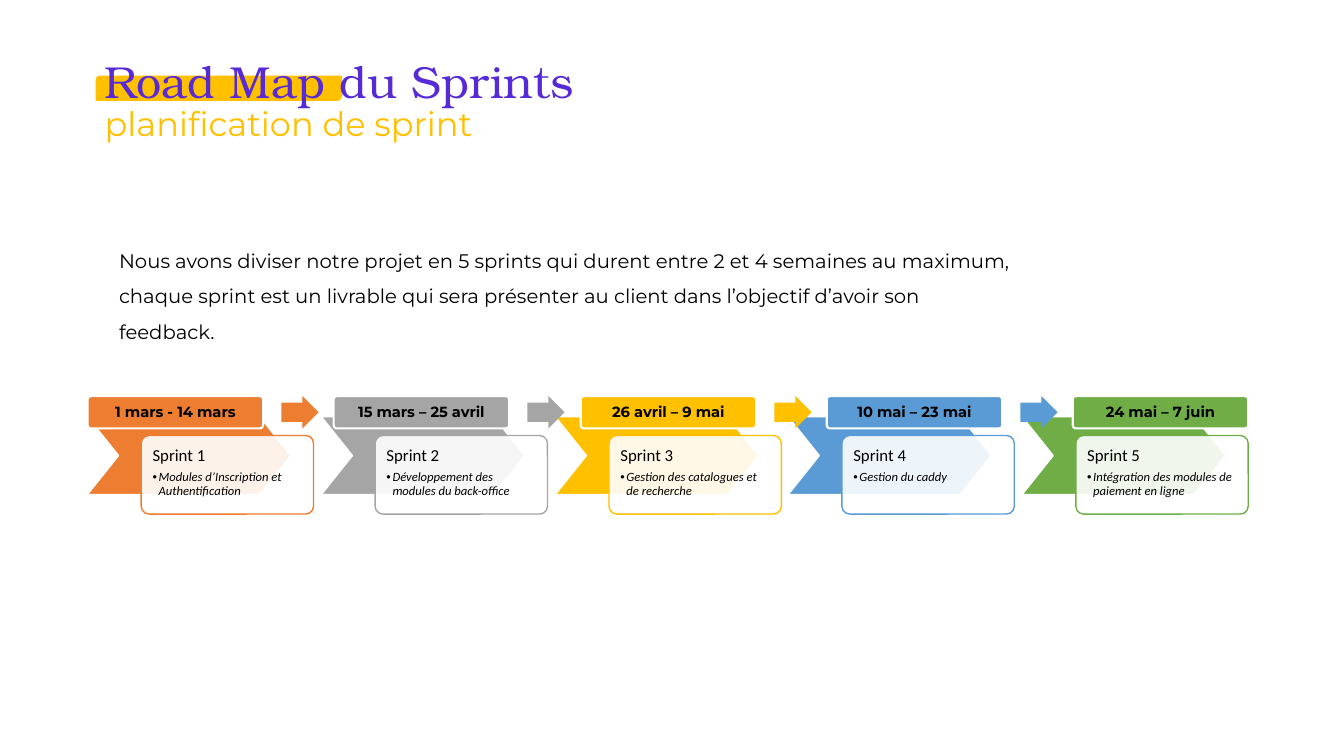
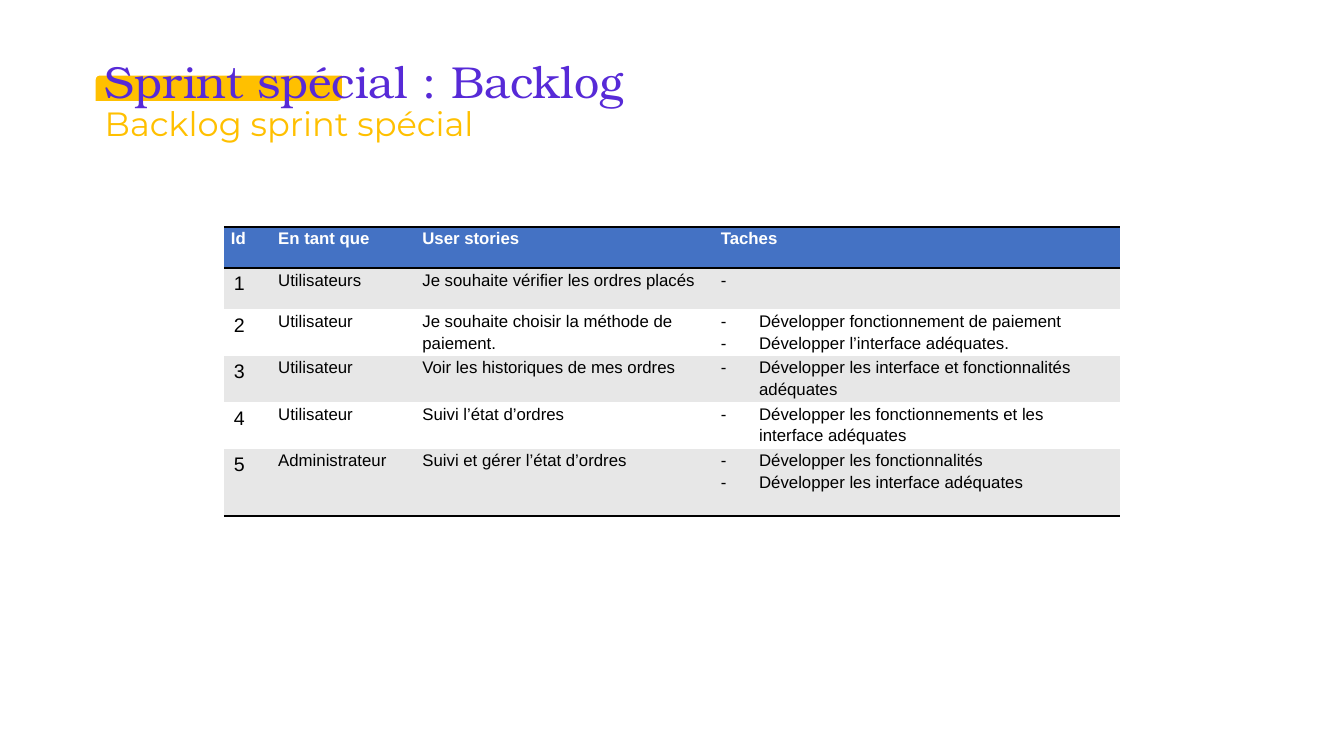
from dataclasses import dataclass

from lxml.etree import SubElement
from pptx import Presentation
from pptx.dml.color import RGBColor
from pptx.enum.shapes import MSO_SHAPE as Preset
from pptx.enum.text import MSO_ANCHOR as Anchor, PP_ALIGN as Align
from pptx.oxml.ns import qn
from pptx.util import Pt

PX = 9144
SLIDE_SIZE = (1333, 750)


@dataclass(frozen=True)
class TextStyle:
    font: str
    size: float
    color: str = "000000"
    bold: bool = False
    italic: bool = False
    spacing: float = 0.9


@dataclass(frozen=True)
class Theme:
    highlight: str = "FFC000"
    white: str = "FFFFFF"
    black: str = "000000"
    header: str = "4472C4"
    band: str = "E7E7E7"
    title = TextStyle("TeX Gyre Bonum", 32, "572AD7")
    subtitle = TextStyle("Montserrat", 24, "FFC000")
    intro = TextStyle("Montserrat", 14, spacing=1.5)
    date = TextStyle("Montserrat", 10.5, bold=True)
    sprint = TextStyle("Calibri", 12)
    goal = TextStyle("Calibri", 9, italic=True)
    column = TextStyle("Arial", 12, "FFFFFF", bold=True, spacing=1.15)
    story_id = TextStyle("Arial", 14, spacing=1)
    story = TextStyle("Arial", 12, spacing=1.15)


THEME = Theme()

ROADMAP_TITLE = ("Road Map du Sprints", "planification de sprint")
INTRO = (
    "Nous avons diviser notre projet en 5 sprints qui durent entre 2 et 4 semaines "
    "au maximum, chaque sprint est un livrable qui sera présenter au client dans "
    "l’objectif d’avoir son feedback."
)
SPRINTS = [
    ("Sprint 1", "1 mars - 14 mars", "Modules d’Inscription et Authentification", "ED7D31"),
    ("Sprint 2", "15 mars – 25 avril", "Développement des modules du back-office", "A5A5A5"),
    ("Sprint 3", "26 avril – 9 mai", "Gestion des catalogues et de recherche", "FFC000"),
    ("Sprint 4", "10 mai – 23 mai", "Gestion du caddy", "5B9BD5"),
    ("Sprint 5", "24 mai – 7 juin", "Intégration des modules de paiement en ligne", "70AD47"),
]

BACKLOG_TITLE = ("Sprint spécial : Backlog", "Backlog sprint spécial")
COLUMNS = [("Id", 47), ("En tant que", 143), ("User stories", 296), ("Taches", 403)]
HEADER_HEIGHT = 41
STORIES = [
    (41, "Utilisateurs", "Je souhaite vérifier les ordres placés", ["-"]),
    (46, "Utilisateur", "Je souhaite choisir la méthode de paiement.",
     ["Développer fonctionnement de paiement", "Développer l’interface adéquates."]),
    (46, "Utilisateur", "Voir les historiques de mes ordres",
     ["Développer les interface et fonctionnalités adéquates"]),
    (46, "Utilisateur", "Suivi l’état d’ordres",
     ["Développer les fonctionnements et les interface adéquates"]),
    (67, "Administrateur", "Suivi et gérer l’état d’ordres",
     ["Développer les fonctionnalités", "Développer les interface adéquates"]),
]
NO_GRID_STYLE = "{2D5ABB26-0587-4C30-8999-92F81FD0307C}"


def px(*lengths):
    return [length * PX for length in lengths]


def rgb(color):
    return RGBColor.from_string(color)


def set_margins(holder, across, down):
    holder.margin_left = holder.margin_right = across * PX
    holder.margin_top = holder.margin_bottom = down * PX


def add_bullet(paragraph, char, indent):
    properties = paragraph._p.get_or_add_pPr()
    properties.set("marL", str(indent * PX))
    properties.set("indent", str(-indent * PX))
    bullet_color = SubElement(properties, qn("a:buClr"))
    SubElement(bullet_color, qn("a:srgbClr"), val=THEME.black)
    SubElement(properties, qn("a:buFont"), typeface="Arial")
    SubElement(properties, qn("a:buChar"), char=char)


def write(frame, lines, align=Align.LEFT):
    frame.word_wrap = True
    for number, (text, style, bullet) in enumerate(lines):
        paragraph = frame.add_paragraph() if number else frame.paragraphs[0]
        paragraph.text = text
        paragraph.alignment = align
        if bullet:
            add_bullet(paragraph, *bullet)
        paragraph.line_spacing = style.spacing
        font = paragraph.font
        font.name, font.size = style.font, Pt(style.size)
        font.bold, font.italic = style.bold, style.italic
        font.color.rgb = rgb(style.color)


def add_block(shapes, preset, box, fill, line=None, adjustments=(), opacity=None):
    block = shapes.add_shape(preset, *px(*box))
    block.shadow.inherit = False
    block.fill.solid()
    block.fill.fore_color.rgb = rgb(fill)
    if opacity:
        color = block._element.spPr.find(qn("a:solidFill")).find(qn("a:srgbClr"))
        SubElement(color, qn("a:alpha"), val=str(opacity * 1000))
    if line:
        block.line.color.rgb = rgb(line[0])
        block.line.width = Pt(line[1])
    else:
        block.line.fill.background()
    for position, value in enumerate(adjustments):
        block.adjustments[position] = value
    return block


def add_titled_slide(deck, title, subtitle):
    slide = deck.slides.add_slide(deck.slide_layouts[6])
    add_block(slide.shapes, Preset.ROUND_2_DIAG_RECTANGLE, (95, 75, 244, 25), THEME.highlight)
    heading = slide.shapes.add_textbox(*px(94, 75, 914, 73)).text_frame
    heading.vertical_anchor = Anchor.BOTTOM
    set_margins(heading, 10, 5)
    write(heading, [(title, THEME.title, None), (subtitle, THEME.subtitle, None)])
    return slide


def spread(first, last, count):
    return [round(first + i * (last - first) / (count - 1)) for i in range(count)]


def add_sprint_card(shapes, left, name, goal, color):
    add_block(shapes, Preset.CHEVRON, (left, 413, 203, 78), color, (THEME.white, 1.5), [0.4])
    card = add_block(shapes, Preset.ROUNDED_RECTANGLE, (left + 54, 432, 171, 78),
                     THEME.white, (color, 1), [0.1], opacity=90).text_frame
    card.vertical_anchor = Anchor.TOP
    set_margins(card, 9, 9)
    write(card, [(name, THEME.sprint, None), (goal, THEME.goal, ("•", 6))])
    card.paragraphs[0].space_after = Pt(4)


def add_date(shapes, left, date, color):
    label = add_block(shapes, Preset.ROUNDED_RECTANGLE, (left, 393, 174, 32),
                      color, (THEME.white, 1.5), [0.1]).text_frame
    label.vertical_anchor = Anchor.MIDDLE
    set_margins(label, 5, 5)
    write(label, [(date, THEME.date, None)], Align.CENTER)


def build_roadmap(deck):
    shapes = add_titled_slide(deck, *ROADMAP_TITLE).shapes
    count = len(SPRINTS)

    cards = shapes.add_group_shape().shapes
    for left, (name, _, goal, color) in zip(spread(86, 1013, count), SPRINTS):
        add_sprint_card(cards, left, name, goal, color)

    timeline = shapes.add_group_shape().shapes
    for number, (left, sprint) in enumerate(zip(spread(87, 1064, count), SPRINTS), 1):
        _, date, _, color = sprint
        add_date(timeline, left, date, color)
        if number < count:
            add_block(timeline, Preset.RIGHT_ARROW, (left + 192, 393, 37, 32), color,
                      adjustments=[0.6, 0.5])

    intro = add_block(shapes, Preset.ROUND_2_DIAG_RECTANGLE, (86, 225, 936, 126),
                      THEME.white).text_frame
    intro.vertical_anchor = Anchor.MIDDLE
    set_margins(intro, 9, 9)
    intro.margin_left = 26 * PX
    write(intro, [(INTRO, THEME.intro, None)])
    intro.paragraphs[0].space_before = Pt(6)


def rule_cell(cell, sides):
    properties = cell._tc.get_or_add_tcPr()
    for position, side in enumerate(sides):
        edge = SubElement(properties, qn(f"a:ln{side}"), w=str(Pt(2)))
        fill = SubElement(edge, qn("a:solidFill"))
        SubElement(fill, qn("a:srgbClr"), val=THEME.black)
        properties.insert(position, edge)


def fill_cell(cell, lines, fill, sides, margins):
    set_margins(cell, *margins)
    cell.vertical_anchor = Anchor.TOP
    cell.fill.solid()
    cell.fill.fore_color.rgb = rgb(fill)
    rule_cell(cell, sides)
    write(cell.text_frame, lines)


def build_backlog(deck):
    shapes = add_titled_slide(deck, *BACKLOG_TITLE).shapes
    widths = [width for _, width in COLUMNS]
    heights = [HEADER_HEIGHT] + [story[0] for story in STORIES]
    frame = shapes.add_table(len(heights), len(widths),
                             *px(222, 225, sum(widths), sum(heights)))
    next(frame._element.iter(qn("a:tableStyleId"))).text = NO_GRID_STYLE
    backlog = frame.table
    for column, width in zip(backlog.columns, widths):
        column.width = width * PX
    for row, height in zip(backlog.rows, heights):
        row.height = height * PX

    for column, (label, _) in enumerate(COLUMNS):
        fill_cell(backlog.cell(0, column), [(label, THEME.column, None)],
                  THEME.header, "TB", (7, 0))

    for number, (_, role, wish, tasks) in enumerate(STORIES, 1):
        contents = [
            [(str(number), THEME.story_id, None)],
            [(role, THEME.story, None)],
            [(wish, THEME.story, None)],
            [(task, THEME.story, None if task == "-" else ("-", 38)) for task in tasks],
        ]
        fill = THEME.band if number % 2 else THEME.white
        sides = "B" if number == len(STORIES) else ""
        for column, lines in enumerate(contents):
            margins = (7, 0) if column else (10, 5)
            fill_cell(backlog.cell(number, column), lines, fill, sides, margins)


def main():
    deck = Presentation()
    deck.slide_width, deck.slide_height = px(*SLIDE_SIZE)
    build_roadmap(deck)
    build_backlog(deck)
    deck.save("out.pptx")


if __name__ == "__main__":
    main()
